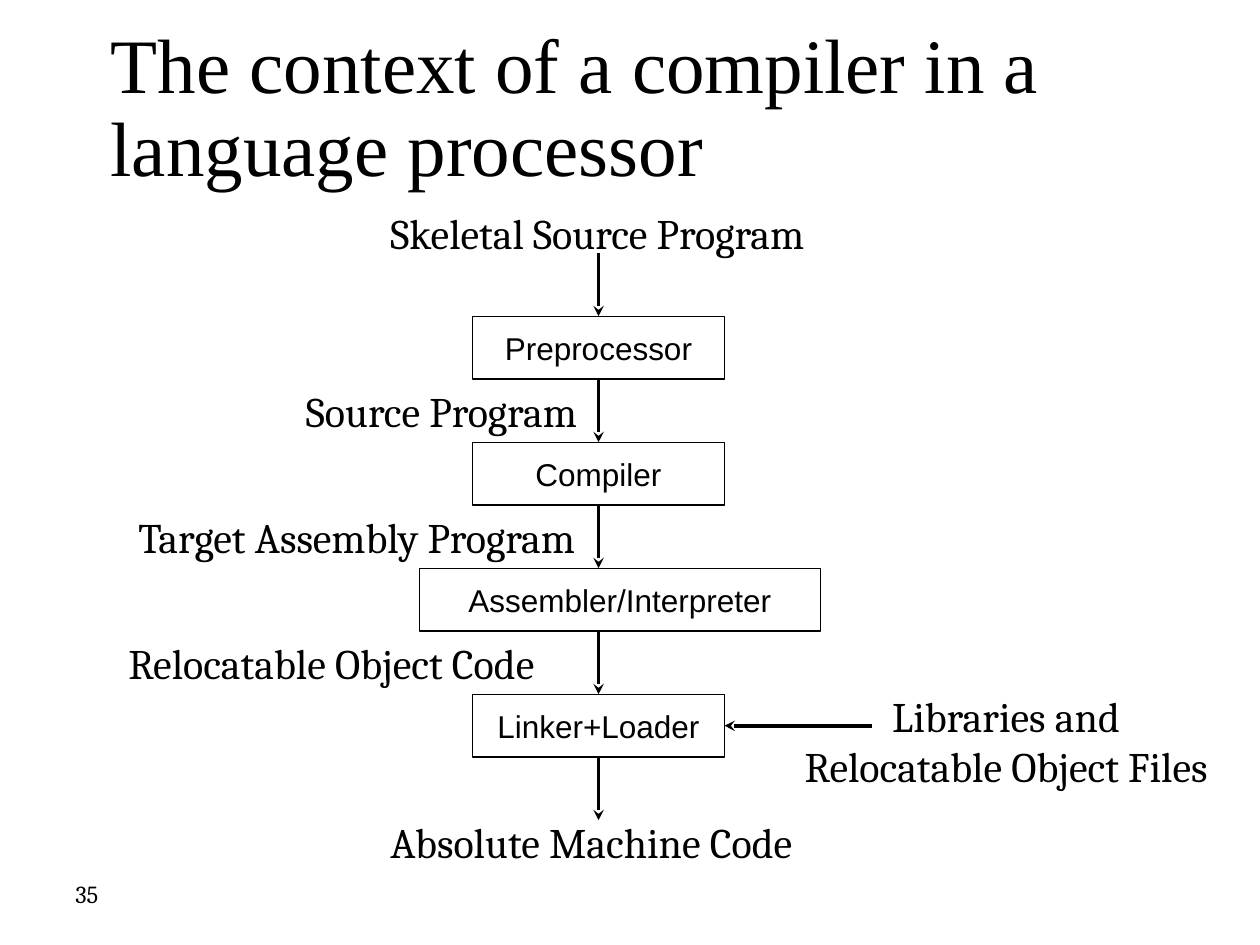
from pptx import Presentation
from pptx.dml.color import RGBColor
from pptx.enum.shapes import MSO_CONNECTOR as Connector, MSO_SHAPE as Shape
from pptx.enum.text import MSO_ANCHOR as Anchor, MSO_AUTO_SIZE as AutoSize, PP_ALIGN as Align
from pptx.oxml.ns import qn
from pptx.util import Inches, Pt
from lxml.etree import SubElement

BLACK = RGBColor(0, 0, 0)
WHITE = RGBColor(255, 255, 255)
TITLE_FONT = {"name": "Times New Roman", "size": Pt(44)}
NUMBER_FONT = {"name": "Cambria", "size": Pt(14)}
LABEL_FONT = {"name": "Cambria", "size": Pt(24)}
STAGE_FONT = {"name": "Arial", "size": Pt(18)}

deck = Presentation()
deck.slide_width, deck.slide_height = Inches(10), Inches(7.5)
page = deck.slides.add_slide(deck.slide_layouts[6])


def write(box, lines, font, align=Align.LEFT, anchor=Anchor.TOP, wrap=False):
    frame = box.text_frame
    frame.word_wrap = wrap
    frame.vertical_anchor = anchor
    for number, line in enumerate(lines):
        para = frame.add_paragraph() if number else frame.paragraphs[0]
        para.alignment = align
        span = para.add_run()
        span.text = line
        for key, value in font.items():
            setattr(span.font, key, value)
        span.font.color.rgb = BLACK
    return frame


def add_arrow(x1, y1, x2, y2):
    arrow = page.shapes.add_connector(
        Connector.STRAIGHT, Inches(x1), Inches(y1), Inches(x2), Inches(y2))
    arrow.line.color.rgb = BLACK
    arrow.line.width = Pt(2)
    SubElement(arrow.line._get_or_add_ln(), qn("a:tailEnd"), type="stealth")
    SubElement(arrow._element.spPr, qn("a:effectLst"))
    return arrow


# Title and page number
title = page.shapes.add_textbox(Inches(0.78), Inches(0.15), Inches(8.62), Inches(1.45))
frame = write(title, ["The context of a compiler in a language processor"],
              TITLE_FONT, anchor=Anchor.MIDDLE, wrap=True)
frame.paragraphs[0].line_spacing = 0.9
number_box = page.shapes.add_textbox(Inches(0.5), Inches(6.83), Inches(2.33), Inches(0.52))
write(number_box, ["35"], NUMBER_FONT, anchor=Anchor.MIDDLE, wrap=True)

# Processing stages, one inch apart
FLOW_X, FIRST_TOP, STEP, STAGE_HEIGHT = 4.75, 2.51, 1, 0.5
stages = [
    ("Preprocessor", 3.75, 2),
    ("Compiler", 3.75, 2),
    ("Assembler/Interpreter", 3.33, 3.18),
    ("Linker+Loader", 3.75, 2),
]
stage_boxes = []
for index, (name, left, width) in enumerate(stages):
    box = page.shapes.add_shape(Shape.RECTANGLE, Inches(left), Inches(FIRST_TOP + index * STEP),
                                Inches(width), Inches(STAGE_HEIGHT))
    box.shadow.inherit = False
    box.fill.solid()
    box.fill.fore_color.rgb = WHITE
    box.line.color.rgb = BLACK
    box.line.width = Pt(0.75)
    write(box, [name], STAGE_FONT, Align.CENTER, Anchor.MIDDLE)
    stage_boxes.append(box)

# Programs passed between the stages
labels = [
    (["Skeletal Source Program"], 3, 1.6, 3.51, 0.5, Align.LEFT),
    (["Source Program"], 2.33, 3.01, 2.36, 0.5, Align.LEFT),
    (["Target Assembly Program"], 1, 4.01, 3.72, 0.5, Align.LEFT),
    (["Relocatable Object Code"], 0.92, 5.01, 3.53, 0.5, Align.LEFT),
    (["Absolute Machine Code"], 3, 6.43, 3.44, 0.5, Align.LEFT),
    (["Libraries and", "Relocatable Object Files"], 6.25, 5.43, 3.47, 0.9, Align.CENTER),
]
for lines, left, top, width, height, align in labels:
    label = page.shapes.add_textbox(Inches(left), Inches(top), Inches(width), Inches(height))
    write(label, lines, LABEL_FONT, align).auto_size = AutoSize.SHAPE_TO_FIT_TEXT

# Downward flow; the wide assembler box is off the flow axis, so it stays unjoined
joinable = [box if width == 2 else None for box, (_, _, width) in zip(stage_boxes, stages)]
for index, (above, below) in enumerate(zip([None] + joinable, joinable + [None])):
    end_y = FIRST_TOP + index * STEP
    arrow = add_arrow(FLOW_X, end_y - STEP + STAGE_HEIGHT, FLOW_X, end_y)
    if above is not None:
        arrow.begin_connect(above, 2)
    if below is not None:
        arrow.end_connect(below, 0)

# Libraries feed the linker
library_arrow = add_arrow(6.92, 5.76, 5.75, 5.76)
library_arrow.end_connect(stage_boxes[-1], 3)

deck.save("out.pptx")
